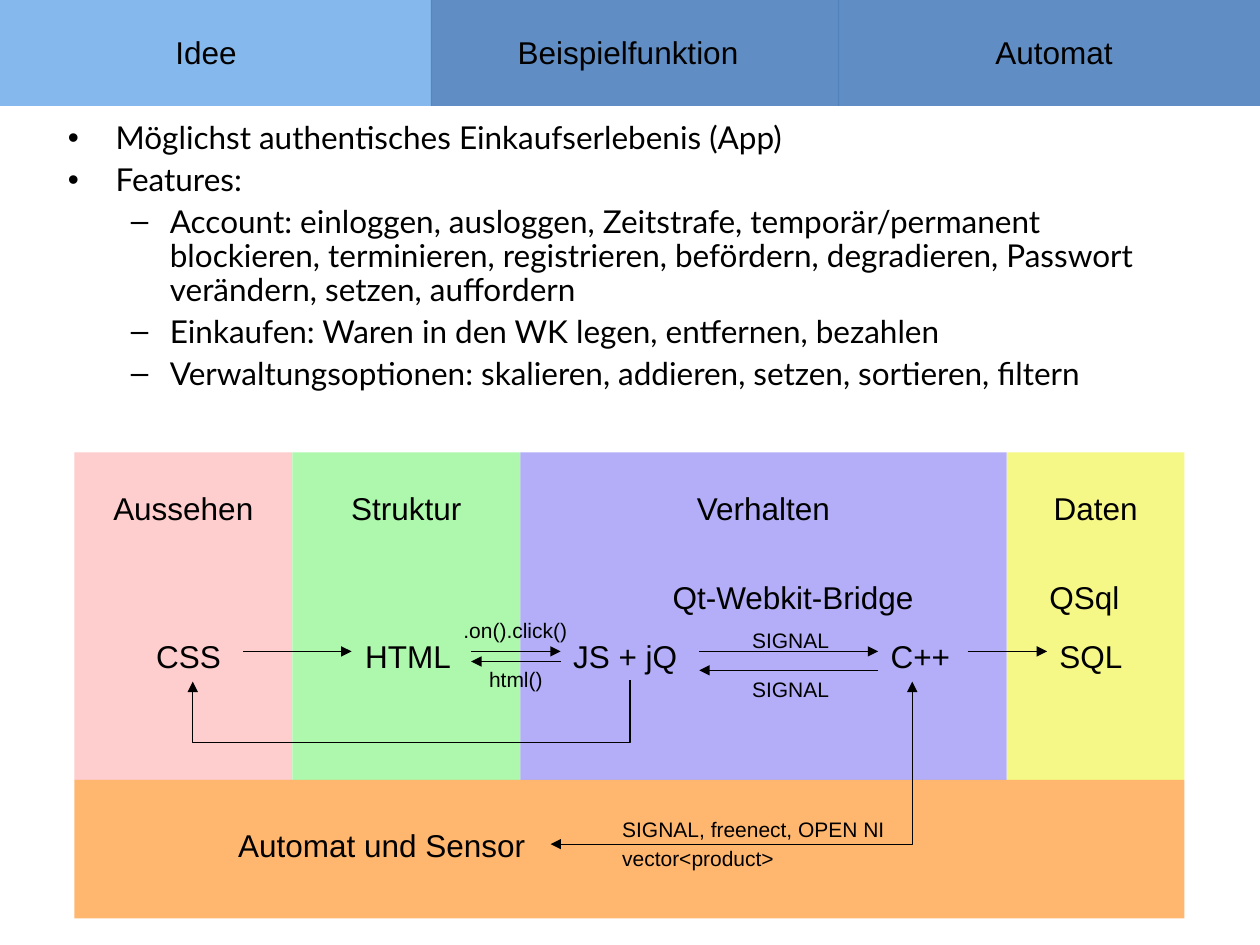
from dataclasses import dataclass
from itertools import accumulate

from lxml import etree
from pptx import Presentation
from pptx.dml.color import RGBColor
from pptx.enum.shapes import MSO_CONNECTOR, MSO_SHAPE
from pptx.enum.text import PP_ALIGN
from pptx.oxml.ns import qn
from pptx.util import Inches, Pt

LEFT, CENTER = PP_ALIGN.LEFT, PP_ALIGN.CENTER
STRAIGHT, ELBOW = MSO_CONNECTOR.STRAIGHT, MSO_CONNECTOR.ELBOW
RECTANGLE = MSO_SHAPE.RECTANGLE


@dataclass(frozen=True)
class Theme:
    text: str = "000000"
    active_tab: str = "78B1EA"
    tab: str = "4F81BD"
    look: str = "FEB8B8"
    structure: str = "8BF68B"
    behaviour: str = "948CF4"
    data: str = "F2F453"
    machine: str = "FF9933"
    tab_opacity: int = 90
    layer_opacity: int = 70
    diagram_font: str = "Arial"
    body_font: str = "Lato"
    normal: int = 18
    small: int = 12
    line: float = 0.75


THEME = Theme()

# label, left, width, colour
TABS = [
    ("Idee", 0, 3.43, THEME.active_tab),
    ("Beispielfunktion", 3.42, 3.24, THEME.tab),
    ("Automat", 6.65, 3.37, THEME.tab),
]
TAB_HEIGHT, TAB_LABEL_WIDTH = 0.84, 3.27
TAB_LABEL_LEFTS = [0, 3.35, 6.73]

# level, text
FEATURES = [
    (0, "Möglichst authentisches Einkaufserlebenis (App)"),
    (0, "Features:"),
    (1, "Account: einloggen, ausloggen, Zeitstrafe, temporär/permanent blockieren, "
        "terminieren, registrieren, befördern, degradieren, Passwort verändern, setzen, auffordern"),
    (1, "Einkaufen: Waren in den WK legen, entfernen, bezahlen"),
    (1, "Verwaltungsoptionen: skalieren, addieren, setzen, sortieren, filtern"),
]
# bullet, left margin, hanging indent
LEVELS = [("•", 0.38, 0.38), ("–", 0.81, 0.31)]

# label, width, colour
LAYERS = [
    ("Aussehen", 1.73, THEME.look),
    ("Struktur", 1.81, THEME.structure),
    ("Verhalten", 3.86, THEME.behaviour),
    ("Daten", 1.41, THEME.data),
]
LAYER_LEFT, LAYER_TOP, LAYER_HEIGHT, MACHINE_HEIGHT = 0.59, 3.59, 2.6, 1.1

# text, left, top, width, alignment
TECHNOLOGY_TOP, BRIDGE_TOP = 5.01, 4.54
TECHNOLOGIES = [
    ("CSS", 1.14, TECHNOLOGY_TOP, 0.79, LEFT),
    ("HTML", 2.8, TECHNOLOGY_TOP, 0.94, LEFT),
    ("JS + jQ", 4.45, TECHNOLOGY_TOP, 1.1, LEFT),
    ("C++", 6.97, TECHNOLOGY_TOP, 0.71, LEFT),
    ("SQL", 8.31, TECHNOLOGY_TOP, 0.71, LEFT),
    ("Qt-Webkit-Bridge", 5.24, BRIDGE_TOP, 2.13, LEFT),
    ("QSql", 8.23, BRIDGE_TOP, 0.79, LEFT),
    ("Automat und Sensor", 1.61, 6.51, 2.84, CENTER),
]
MESSAGES = [
    (".on().click()", 3.58, 4.85, 1.1, LEFT),
    ("html()", 3.66, 5.24, 0.87, CENTER),
    ("SIGNAL", 5.87, 4.93, 1.18, LEFT),
    ("SIGNAL", 5.87, 5.32, 1.18, LEFT),
    ("SIGNAL, freenect, OPEN NI", 4.84, 6.43, 2.36, LEFT),
    ("vector<product>", 4.84, 6.66, 2.36, LEFT),
]
# from x, to x, y
ARROWS = [
    (1.93, 2.79, 5.17),
    (3.74, 4.45, 5.17),
    (4.45, 3.74, 5.25),
    (5.55, 6.97, 5.17),
    (6.97, 5.55, 5.32),
    (7.68, 8.31, 5.17),
]


def add_band(page, left, top, width, height, colour, opacity):
    band = page.shapes.add_shape(RECTANGLE, *map(Inches, (left, top, width, height)))
    band.shadow.inherit = False
    band.fill.solid()
    band.fill.fore_color.rgb = RGBColor.from_string(colour)
    colour_node = band.fill._xPr.find(".//" + qn("a:srgbClr"))
    etree.SubElement(colour_node, qn("a:alpha"), val=str(opacity * 1000))
    band.line.fill.background()


def style_font(font, name, size):
    font.name = name
    font.size = Pt(size)
    font.color.rgb = RGBColor.from_string(THEME.text)


def add_label(page, text, left, top, width, align=CENTER, size=THEME.normal):
    height = 0.4 if size == THEME.normal else 0.3
    box = page.shapes.add_textbox(*map(Inches, (left, top, width, height)))
    box.text_frame.word_wrap = True
    box.text_frame.text = text
    para = box.text_frame.paragraphs[0]
    para.alignment = align
    style_font(para.runs[0].font, THEME.diagram_font, size)


def add_arrow(page, start, end, kind=STRAIGHT, both_ends=False):
    arrow = page.shapes.add_connector(kind, *map(Inches, (*start, *end)))
    arrow.line.width = Pt(THEME.line)
    arrow.line.color.rgb = RGBColor.from_string(THEME.text)
    for tag in ("a:headEnd", "a:tailEnd") if both_ends else ("a:tailEnd",):
        etree.SubElement(arrow.line._get_or_add_ln(), qn(tag), type="triangle")
    etree.SubElement(arrow._element.spPr, qn("a:effectLst"))
    return arrow


def add_machine_arrow(page):
    """One bend: right from the machine, then up to C++."""
    arrow = add_arrow(page, (4.37, 6.7), (7.24, 5.41), ELBOW, both_ends=True)
    arrow._element.spPr.find(qn("a:prstGeom")).set("prst", "bentConnector2")


def add_style_arrow(page):
    """Two bends: down from JS, left below the row, up to CSS."""
    start_x, end_x, y, drop, depth = 5, 1.53, 5.4, 0.5, 0.01
    span = start_x - end_x
    left = (start_x + end_x - depth) / 2
    top = y + (depth - span) / 2
    arrow = add_arrow(page, (left, top), (left + depth, top + span), ELBOW)
    properties = arrow._element.spPr
    properties.find(qn("a:xfrm")).set("rot", str(90 * 60000))
    guides = properties.find(qn("a:prstGeom")).get_or_add_avLst()
    bend = round(drop / depth * 100000)
    etree.SubElement(guides, qn("a:gd"), name="adj1", fmla=f"val {bend}")


def add_features(page):
    box = page.shapes.add_textbox(*map(Inches, (0.44, 0.92, 9.13, 2.44)))
    frame = box.text_frame
    frame.word_wrap = True
    for index, (level, text) in enumerate(FEATURES):
        para = frame.add_paragraph() if index else frame.paragraphs[0]
        para.text = text
        para.level = level
        para.line_spacing = 0.9
        para.space_before = Pt(4.5 if index else 0)
        bullet, margin, hanging = LEVELS[level]
        properties = para._p.get_or_add_pPr()
        properties.set("marL", str(Inches(margin)))
        properties.set("indent", str(-Inches(hanging)))
        etree.SubElement(properties, qn("a:buFont"), typeface=THEME.diagram_font)
        etree.SubElement(properties, qn("a:buChar"), char=bullet)
        style_font(para.runs[0].font, THEME.body_font, THEME.normal)


def add_diagram(page):
    widths = [width for _, width, _ in LAYERS]
    lefts = accumulate(widths[:-1], initial=LAYER_LEFT)
    for (label, width, colour), left in zip(LAYERS, lefts):
        add_band(page, left, LAYER_TOP, width, LAYER_HEIGHT, colour, THEME.layer_opacity)
        add_label(page, label, left, 3.83, width)
    add_band(page, LAYER_LEFT, LAYER_TOP + LAYER_HEIGHT, sum(widths), MACHINE_HEIGHT,
             THEME.machine, THEME.layer_opacity)
    for technology in TECHNOLOGIES:
        add_label(page, *technology)
    for message in MESSAGES:
        add_label(page, *message, size=THEME.small)
    for start_x, end_x, y in ARROWS:
        add_arrow(page, (start_x, y), (end_x, y))
    add_machine_arrow(page)
    add_style_arrow(page)


def main():
    deck = Presentation()
    deck.slide_width, deck.slide_height = Inches(10), Inches(7.5)
    page = deck.slides.add_slide(deck.slide_layouts[6])
    for (label, left, width, colour), label_left in zip(TABS, TAB_LABEL_LEFTS):
        add_band(page, left, 0, width, TAB_HEIGHT, colour, THEME.tab_opacity)
        add_label(page, label, label_left, 0.21, TAB_LABEL_WIDTH)
    add_features(page)
    add_diagram(page)
    deck.save("out.pptx")


if __name__ == "__main__":
    main()
